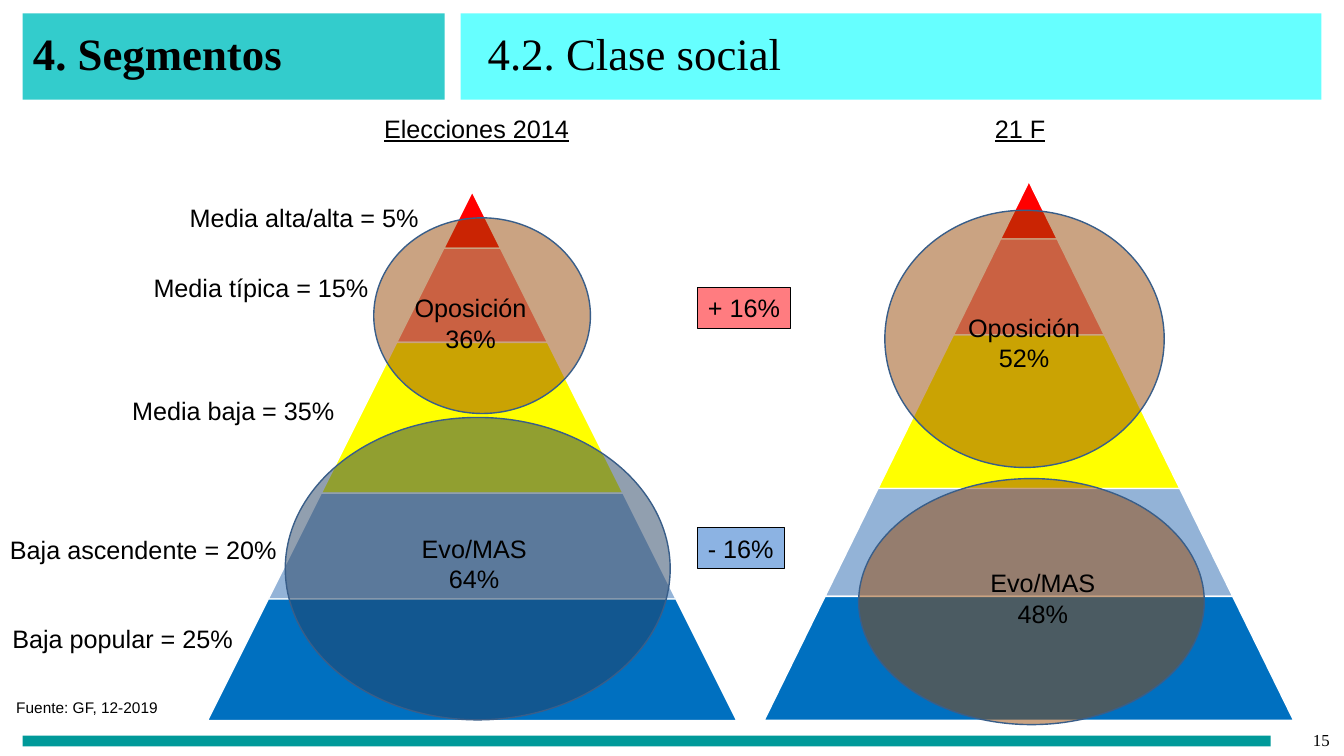
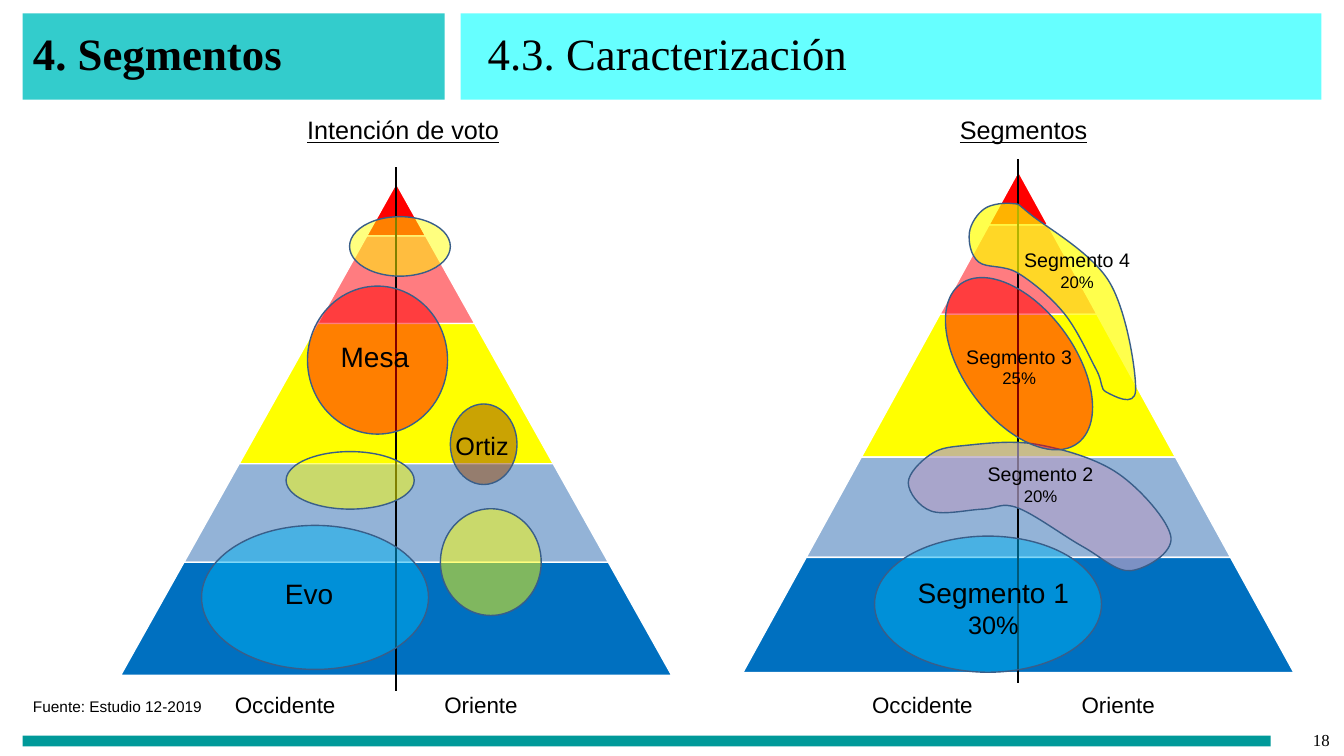
import pptx
import pptx.dml.color
import pptx.enum.shapes
import pptx.enum.text
import pptx.oxml
import pptx.oxml.ns
import pptx.util
import lxml.etree

Cm = pptx.util.Cm
Pt = pptx.util.Pt
RGBColor = pptx.dml.color.RGBColor
SHAPE = pptx.enum.shapes.MSO_SHAPE
ALIGN = pptx.enum.text.PP_ALIGN
ANCHOR = pptx.enum.text.MSO_ANCHOR
qn = pptx.oxml.ns.qn

BLACK = RGBColor(0, 0, 0)
WHITE = RGBColor(255, 255, 255)
TEAL = RGBColor(0x33, 0xCC, 0xCC)
AQUA = RGBColor(0x66, 0xFF, 0xFF)
DARK_TEAL = RGBColor(0, 0x99, 0x99)
RED = RGBColor(255, 0, 0)
SALMON = RGBColor(0xFF, 0x7C, 0x80)
YELLOW = RGBColor(255, 255, 0)
PALE_BLUE = RGBColor(0x93, 0xB3, 0xD7)
BLUE = RGBColor(0, 0x70, 0xC0)
BADGE_BLUE = RGBColor(0x8C, 0xB3, 0xE3)
BROWN = RGBColor(0x97, 0x48, 0x06)
NAVY = RGBColor(0x24, 0x40, 0x61)
SKY = RGBColor(0, 0xB0, 0xF0)
LILAC = RGBColor(0xB2, 0xA0, 0xC7)
OUTLINE = RGBColor(0x39, 0x5E, 0x89)

BODY_FONT = "Arial"
TITLE_FONT = "Times New Roman"
TIERS = [(0.107, RED), (0.285, SALMON), (0.57, YELLOW), (0.77, PALE_BLUE), (1, BLUE)]


def lengths(box):
    return [Cm(value) for value in box]


def paint(shape, fill, line=None, weight=1.0, opacity=100):
    shape.shadow.inherit = False
    shape.fill.solid()
    shape.fill.fore_color.rgb = fill
    if opacity < 100:
        color = shape._element.spPr.find(".//" + qn("a:srgbClr"))
        lxml.etree.SubElement(color, qn("a:alpha"), val=str(opacity * 1000))
    if line is None:
        shape.line.fill.background()
    else:
        shape.line.color.rgb = line
        shape.line.width = Pt(weight)
    return shape


def add_block(page, kind, box, fill, **style):
    return paint(page.shapes.add_shape(kind, *lengths(box)), fill, **style)


def fill_text(frame, lines, sizes, align=ALIGN.LEFT, font=BODY_FONT,
              bold=False, underline=False, spacing=None):
    for index, (line, size) in enumerate(zip(lines, sizes)):
        para = frame.paragraphs[0] if index == 0 else frame.add_paragraph()
        para.text = line
        para.alignment = align
        para.line_spacing = spacing
        para.font.name = font
        para.font.size = Pt(size)
        para.font.bold = bold
        para.font.underline = underline
        para.font.color.rgb = BLACK


def add_text(page, box, lines, sizes, anchor=ANCHOR.TOP, **style):
    frame = page.shapes.add_textbox(*lengths(box)).text_frame
    frame.word_wrap = True
    frame.vertical_anchor = anchor
    fill_text(frame, lines, sizes, **style)


def add_label(page, box, text, size=18, underline=False):
    add_text(page, box, [text], [size], underline=underline)


def add_centered(page, box, lines, sizes):
    add_text(page, box, lines, sizes, align=ALIGN.CENTER)


def add_frame(deck, subtitle, number, source, source_box):
    page = deck.slides.add_slide(deck.slide_layouts[6])
    bands = [((0.57, 0.34, 10.64, 2.17), TEAL), ((11.61, 0.34, 21.69, 2.17), AQUA),
             ((0.57, 18.54, 31.45, 0.27), DARK_TEAL)]
    for box, color in bands:
        add_block(page, SHAPE.RECTANGLE, box, color)
    add_text(page, (26.14, 18.14, 7.62, 1.02), [number], [12], anchor=ANCHOR.MIDDLE,
             align=ALIGN.RIGHT, font=TITLE_FONT)
    add_text(page, (0.58, 0.6, 10.21, 1.63), ["4. Segmentos"], [32], anchor=ANCHOR.MIDDLE,
             font=TITLE_FONT, bold=True, spacing=0.9)
    add_text(page, (12.04, 0.67, 21.03, 1.63), [subtitle], [32],
             font=TITLE_FONT, spacing=0.9)
    add_label(page, source_box, source, 11)
    return page


def add_pyramid(page, box):
    left, top, width, height = box
    start = 0
    for end, color in TIERS:
        tier_width = width * end
        tier_height = height * (end - start)
        inset = width * (end - start) / 2
        tier_box = (left + (width - tier_width) / 2, top + height * start,
                    tier_width, tier_height)
        tier = add_block(page, SHAPE.TRAPEZOID, tier_box, color, line=WHITE)
        tier.adjustments[0] = inset / min(tier_width, tier_height)
        start = end


def add_zone(page, box, color, rotation=0):
    zone = add_block(page, SHAPE.OVAL, box, color, line=OUTLINE, opacity=50)
    zone.rotation = rotation


def round_outline(shape):
    outline = shape._element.spPr.find(".//" + qn("a:path"))
    points = [(int(point.get("x")), int(point.get("y")))
              for point in outline.iter(qn("a:pt"))]
    for segment in outline.findall(qn("a:lnTo")):
        outline.remove(segment)
    closing = outline.find(qn("a:close"))
    count = len(points)
    for index in range(count):
        before, first, second, after = (points[(index + shift) % count]
                                        for shift in (-1, 0, 1, 2))
        leaving = [b + (c - a) / 6 for a, b, c in zip(before, first, second)]
        arriving = [b - (c - a) / 6 for a, b, c in zip(first, second, after)]
        curve = lxml.etree.Element(qn("a:cubicBezTo"))
        for x, y in (leaving, arriving, second):
            lxml.etree.SubElement(curve, qn("a:pt"), x=str(round(x)), y=str(round(y)))
        closing.addprevious(curve)


def add_blob(page, left, top, points, color):
    corners = [(Cm(left + x), Cm(top + y)) for x, y in points]
    builder = page.shapes.build_freeform(*corners[0])
    builder.add_line_segments(corners[1:], close=True)
    blob = builder.convert_to_shape()
    round_outline(blob)
    paint(blob, color, line=OUTLINE, opacity=70)


def add_badge(page, box, text, color):
    badge = add_block(page, SHAPE.RECTANGLE, box, color, line=BLACK, weight=0.75)
    badge.text_frame.word_wrap = False
    fill_text(badge.text_frame, [text], [18])


def add_region_axis(page, pyramid, top, label_left):
    center = pyramid[0] + pyramid[2] / 2
    axis = page.shapes.add_connector(pptx.enum.shapes.MSO_CONNECTOR.STRAIGHT,
                                     *lengths((center, top, center, top + 13.2)))
    axis.line.color.rgb = BLACK
    axis.line.width = Pt(1.5)
    lxml.etree.SubElement(axis._element.spPr, qn("a:effectLst"))
    for offset, width, text in [(0, 3.07, "Occidente"), (5.28, 2.45, "Oriente")]:
        add_label(page, (label_left + offset, 17.3, width, 0.94), text, 16)


def add_class_page(deck):
    page = add_frame(deck, "4.2. Clase social", "15", "Fuente: GF, 12-2019",
                     (0.16, 17.46, 4.2, 0.74))
    for left, top, width, text in [(4.53, 4.98, 6.4, "Media alta/alta = 5%"),
                                   (3.62, 6.73, 6.05, "Media típica = 15%"),
                                   (3.08, 9.83, 5.75, "Media baja = 35%"),
                                   (0, 13.34, 7.4, "Baja ascendente = 20%"),
                                   (0.06, 15.58, 6.2, "Baja popular = 25%")]:
        add_label(page, (left, top, width, 1.02), text)
    add_pyramid(page, (5.23, 4.83, 13.34, 13.33))
    add_pyramid(page, (19.26, 4.57, 13.34, 13.58))
    add_label(page, (9.43, 2.72, 5.3, 1.02), "Elecciones 2014", underline=True)
    add_label(page, (24.82, 2.72, 1.9, 1.02), "21 F", underline=True)
    for zone, color, left, top, lines in [
            ((9.42, 5.49, 5.46, 4.93), BROWN, 10.16, 7.25, ["Oposición", "36%"]),
            ((7.19, 10.52, 9.7, 7.62), NAVY, 10.25, 13.32, ["Evo/MAS", "64%"]),
            ((22.3, 5.3, 7.04, 6.48), BROWN, 24.11, 7.74, ["Oposición", "52%"]),
            ((21.64, 12.06, 8.71, 6.2), BROWN, 24.58, 14.18, ["Evo/MAS", "48%"])]:
        add_zone(page, zone, color)
        add_centered(page, (left, top, 3.4, 1.8), lines, [18, 18])
    add_badge(page, (17.59, 7.25, 2.34, 1.02), "+ 16%", SALMON)
    add_badge(page, (17.59, 13.3, 2.18, 1.02), "- 16%", BADGE_BLUE)


def add_voting_panel(page):
    pyramid = (3.04, 4.62, 13.89, 12.4)
    add_pyramid(page, pyramid)
    add_label(page, (7.49, 2.76, 5.5, 1.02), "Intención de voto", underline=True)
    add_region_axis(page, pyramid, 4.22, 5.67)
    for box, color in [((5.08, 13.24, 5.72, 3.63), SKY),
                       ((7.75, 7.21, 3.53, 3.73), RED),
                       ((11.35, 10.18, 1.68, 2.03), BROWN),
                       ((7.21, 11.38, 3.23, 1.45), YELLOW),
                       ((11.1, 12.82, 2.54, 2.69), YELLOW),
                       ((8.81, 5.46, 2.54, 1.5), YELLOW)]:
        add_zone(page, box, color)
    for left, top, text, size in [(6.52, 14.4, "Evo", 20), (8.18, 8.43, "Mesa", 20),
                                  (10.88, 10.71, "Ortiz", 18)]:
        add_centered(page, (left, top, 2.54, 1.3), [text], [size])


def add_segment_panel(page):
    pyramid = (18.72, 4.32, 13.89, 12.63)
    add_pyramid(page, pyramid)
    add_label(page, (23.94, 2.76, 3.9, 1.02), "Segmentos", underline=True)
    add_region_axis(page, pyramid, 4.02, 21.73)
    add_zone(page, (22.04, 13.51, 5.72, 3.43), SKY)
    add_blob(page, 22.89, 11.15,
             [(1.39, 0.08), (0.55, 0.31), (0, 1.02), (0.58, 1.73), (1.88, 1.68),
              (2.76, 1.65), (4.39, 2.62), (5.61, 3.23), (6.62, 2.39), (5.3, 0.79),
              (3.25, 0.05)], LILAC)
    add_zone(page, (23.19, 7.77, 4.98, 2.79), RED, 53.7)
    add_blob(page, 24.43, 5.13,
             [(1.09, 0), (0.38, 0.13), (0, 0.74), (0.23, 1.47), (1.22, 1.75),
              (2.39, 2.77), (3.2, 4.19), (3.45, 4.75), (4.19, 4.7), (3.53, 1.98),
              (1.55, 0.28)], YELLOW)
    for left, top, lines, sizes in [
            (22.43, 14.38, ["Segmento 1", "30%"], [20, 18]),
            (23.62, 11.51, ["Segmento 2", "20%"], [14, 12]),
            (23.08, 8.56, ["Segmento 3", "25%"], [14, 12]),
            (24.54, 6.12, ["Segmento 4", "20%"], [14, 12])]:
        add_centered(page, (left, top, 5.21, 1.42), lines, sizes)


def add_profile_page(deck):
    page = add_frame(deck, "4.3. Caracterización", "18", "Fuente: Estudio 12-2019",
                     (0.58, 17.45, 5, 0.74))
    add_voting_panel(page)
    add_segment_panel(page)


def main():
    deck = pptx.Presentation()
    deck.slide_width = Cm(33.87)
    deck.slide_height = Cm(19.05)
    add_class_page(deck)
    add_profile_page(deck)
    deck.save("out.pptx")


if __name__ == "__main__":
    main()
